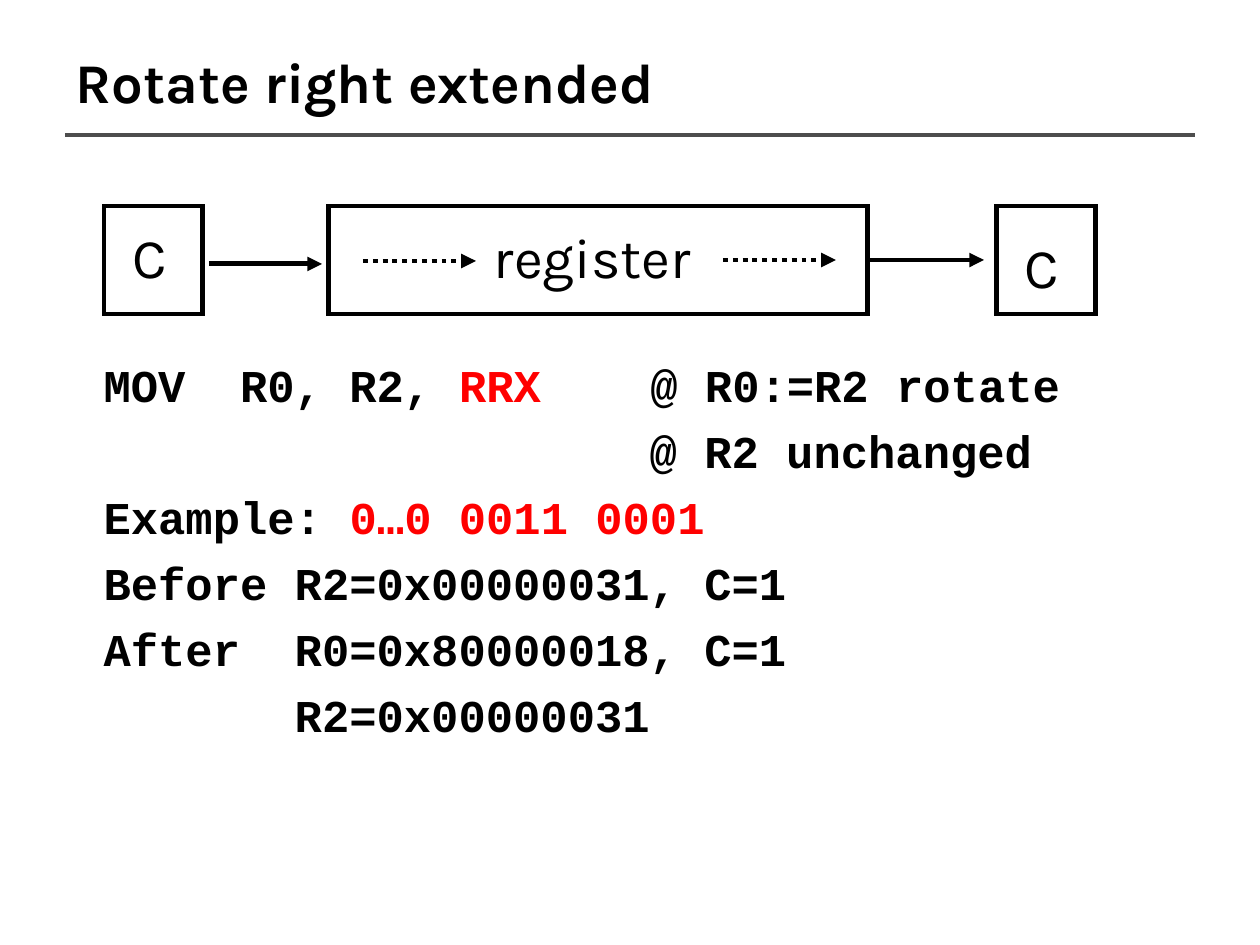
from lxml import etree
from pptx import Presentation
from pptx.dml.color import RGBColor
from pptx.enum.dml import MSO_LINE
from pptx.enum.shapes import MSO_CONNECTOR, MSO_SHAPE
from pptx.enum.text import MSO_ANCHOR, MSO_AUTO_SIZE, PP_ALIGN
from pptx.oxml.ns import qn
from pptx.util import Emu, Pt

# Content
TITLE = "Rotate right extended"
CODE = [
    [("MOV  R0, R2, ", "black"), ("RRX", "red"), ("    @ R0:=R2 rotate", "black")],
    [("                    @ R2 unchanged", "black")],
    [("Example: ", "black"), ("0…0 0011 0001", "red")],
    [("Before R2=0x00000031, C=1", "black")],
    [("After  R0=0x80000018, C=1", "black")],
    [("       R2=0x00000031", "black")],
]
COLORS = {"black": "000000", "red": "FF0000", "rule": "4D4D4D"}

# Layout in px: boxes share one row, labels are (text, left, top, width)
BOX_TOP, BOX_HEIGHT, LABEL_HEIGHT = 206, 108, 83
CARRY_IN = (104, 99, ("C", 118, 215, 67))
REGISTER = (329, 539, ("register", 479, 215, 237))
CARRY_OUT = (997, 99, ("C", 1010, 224, 67))
ARROW_LENGTH = 113
SHIFT_ARROWS = [(363, 261), (723, 260)]
LINE_WIDTH = Pt(2.8)


def px(value):
    return Emu(round(value * 914400 / 126))


def color(name):
    return RGBColor.from_string(COLORS[name])


def write(paragraph, text, font="Karla", size=32, bold=False, fill="black"):
    run = paragraph.add_run()
    run.text = text
    run.font.name, run.font.size, run.font.bold = font, Pt(size), bold
    run.font.color.rgb = color(fill)


def place(shape, left, top, width, height):
    shape.left, shape.top, shape.width, shape.height = map(px, (left, top, width, height))


def add_line(start, end, fill="black", arrow=True, dotted=False):
    connector = slide.shapes.add_connector(MSO_CONNECTOR.STRAIGHT, *map(px, start + end))
    connector.line.width = LINE_WIDTH
    connector.line.color.rgb = color(fill)
    if dotted:
        connector.line.dash_style = MSO_LINE.ROUND_DOT
    if arrow:
        line = connector.line._get_or_add_ln()
        etree.SubElement(line, qn("a:tailEnd"), type="triangle")
    etree.SubElement(connector._element.spPr, qn("a:effectLst"))
    return connector


def add_box(shapes, left, width, label):
    box = shapes.add_shape(MSO_SHAPE.RECTANGLE, *map(px, (left, BOX_TOP, width, BOX_HEIGHT)))
    box.shadow.inherit = False
    box.fill.background()
    box.line.width = LINE_WIDTH
    box.line.color.rgb = color("black")
    etree.SubElement(box.line._get_or_add_ln(), qn("a:miter"), lim="800000")

    text, label_left, label_top, label_width = label
    text_box = shapes.add_textbox(*map(px, (label_left, label_top, label_width, LABEL_HEIGHT)))
    frame = text_box.text_frame
    frame.word_wrap = False
    frame.auto_size = MSO_AUTO_SIZE.SHAPE_TO_FIT_TEXT
    frame.margin_left = frame.margin_right = px(15)
    frame.margin_top = frame.margin_bottom = px(8)
    write(frame.paragraphs[0], text)
    return box


presentation = Presentation()
presentation.slide_width, presentation.slide_height = px(1260), px(945)
slide = presentation.slides.add_slide(presentation.slide_layouts[1])

# Title and rule
add_line((65, 135), (1195, 135), fill="rule", arrow=False)
title = slide.shapes.title
place(title, 63, 38, 1134, 87)
title.text_frame.vertical_anchor = MSO_ANCHOR.MIDDLE
title.text_frame.auto_size = MSO_AUTO_SIZE.NONE
title.text_frame.paragraphs[0].alignment = PP_ALIGN.LEFT
write(title.text_frame.paragraphs[0], TITLE, bold=True)

# Code listing
body = slide.placeholders[1]
place(body, 91, 352, 1140, 509)
frame = body.text_frame
frame.auto_size = MSO_AUTO_SIZE.NONE
frame.margin_top = px(5)
for index, runs in enumerate(CODE):
    paragraph = frame.add_paragraph() if index else frame.paragraphs[0]
    properties = paragraph._p.get_or_add_pPr()
    properties.set("marL", str(px(48)))
    properties.set("indent", str(px(-48)))
    etree.SubElement(properties, qn("a:buNone"))
    paragraph.space_before = Pt(6.5 if index else 0)
    for text, fill in runs:
        write(paragraph, text, font="Courier New", size=26, bold=True, fill=fill)

# Register diagram
add_box(slide.shapes, *CARRY_IN)
register = add_box(slide.shapes, *REGISTER)
add_box(slide.shapes.add_group_shape().shapes, *CARRY_OUT)

# Arrows
add_line((209, 264), (209 + ARROW_LENGTH, 264))
for left, top in SHIFT_ARROWS:
    add_line((left, top), (left + ARROW_LENGTH, top), dotted=True)
carry_arrow = add_line((868, 260), (984, 260))
carry_arrow.begin_connect(register, 3)

presentation.save("out.pptx")
